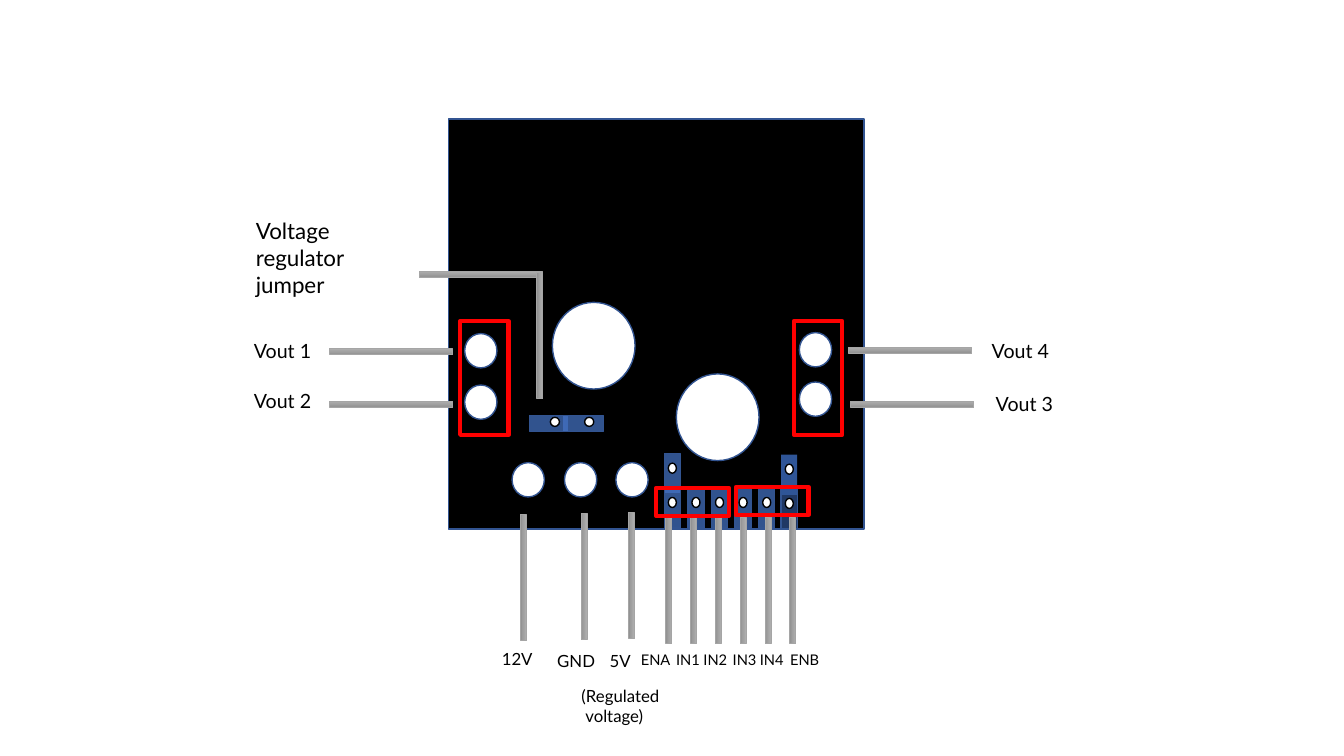
from lxml import etree
from pptx import Presentation, util as u
from pptx.dml.color import RGBColor
from pptx.enum import shapes, text
from pptx.oxml.ns import qn

INK = {"board": "000000", "hole": "FFFFFF", "edge": "325491", "pin": "4472C4",
       "enb": "203864", "cap": "2F5597", "light": "AFAFAF", "dark": "939393",
       "lead": "A5A5A5", "frame": "FF0000", "text": "000000"}
RECT, OVAL = shapes.MSO_SHAPE.RECTANGLE, shapes.MSO_SHAPE.OVAL
CELL = u.Inches(0.1)  # the slide is a grid of 133.33 columns by 75 rows

deck = Presentation()
deck.slide_width, deck.slide_height = round(133.33 * CELL), 75 * CELL
slide = deck.slides.add_slide(deck.slide_layouts[6])


def draw(kind, col, row, wide, high, fill=None, line=None, weight=1):
    """Add a shape placed in grid cells; no fill or line unless named."""
    item = slide.shapes.add_shape(kind, *(round(n * CELL) for n in (col, row, wide, high)))
    item.shadow.inherit = False
    if fill:
        item.fill.solid()
        item.fill.fore_color.rgb = RGBColor.from_string(INK[fill])
    else:
        item.fill.background()
    if line:
        item.line.color.rgb = RGBColor.from_string(INK[line])
        item.line.width = u.Pt(weight)
    else:
        item.line.fill.background()
    return item


def lead(x, y, size, turn=0):
    """Add a grey wire from (x, y), running right, or down when turned by 90."""
    thick = 0.6
    left, top = (x - size / 2, y + size / 2 - thick / 2) if turn else (x, y - thick / 2)
    wire = draw(RECT, left, top, size, thick, line="lead", weight=0.5)
    wire.rotation = turn
    wire.fill.gradient()
    wire.fill.gradient_angle = 270
    for stop, tone in zip(wire.fill.gradient_stops, ("light", "dark")):
        stop.color.rgb = RGBColor.from_string(INK[tone])


# Board and screw terminals
draw(RECT, 44.5, 11.8, 41.2, 40.7, "board", "edge")
for col, row in [(50.8, 45.9), (56, 45.9), (61.1, 45.9), (79.3, 37.9),
                 (79.3, 33), (46.1, 33.1), (46.1, 38.2)]:
    draw(OVAL, col, row, 3.2, 3.4, "hole", "edge")

# Header pins, enable caps and the regulator jumper
first, step = 65.9, 2.34
pins = [(first + step * i, 48.4, 1.6, 4, "pin", "edge") for i in range(5)]
pins += [(77.5, 48.5, 1.6, 4, "enb", "edge"), (77.5, 45.1, 1.6, 4, "cap", None),
         (first, 45, 1.6, 4, "pin", "edge"),
         (55.95, 41.2, 3.9, 1.6, "pin", "edge"), (52.55, 41.2, 3.9, 1.6, "pin", "edge")]
for col, row, wide, high, fill, line in pins:
    pin = draw(RECT, col, row, wide, high, fill, line)
    if fill == "pin":
        tone = pin.fill._xPr.find(qn("a:solidFill"))[0]
        etree.SubElement(tone, qn("a:alpha"), val="73000")
    if wide > high:
        draw(OVAL, col + 2.05, row + 0.2, 0.9, 0.9, "hole", "board")
    else:
        draw(OVAL, col + 0.4, row + 0.95, 0.8, 1, "hole", "board")

# Mounting holes
for col, row in [(67.1, 37.1), (54.8, 30)]:
    draw(OVAL, col, row, 8.2, 8.6, "hole", "edge")

# Wires
for x, y in [(84.2, 34.75), (84.4, 40.1), (32.7, 34.9), (32.7, 40.1), (41.6, 27.2)]:
    lead(x, y, 12.2)
drops = [(51.95, 51.05), (57.95, 50.95), (62.65, 50.85), (53.55, 27.05)]
drops += [(66.35 + 2.46 * i, 51.35) for i in range(6)]
for x, y in drops:
    lead(x, y, 12.5, 90)

# Labels: words, column, row, width, height, points
for words, col, row, wide, high, size in [
        ("Vout 1", 24.2, 33.1, 11.7, 4, 14), ("Vout 2", 24.2, 38.1, 11.7, 4, 14),
        ("Vout 4", 97.4, 33.1, 11.7, 4, 14), ("Vout 3", 97.8, 38.4, 11.7, 4, 14),
        ("12V", 48.8, 63.9, 6, 3.6, 12), ("GND", 54.3, 64.1, 6.6, 3.7, 12),
        ("5V", 59.5, 64.1, 5, 3.6, 12), ("ENA", 62.6, 64.1, 6, 3.4, 10.5),
        ("IN1", 66.1, 64.1, 6, 3.4, 10.5), ("IN2", 68.8, 64.1, 5.5, 3.4, 10.5),
        ("IN3", 71.7, 64.1, 5.5, 3.4, 10.5), ("IN4", 74.4, 64.1, 5.5, 3.1, 10.5),
        ("ENB", 77.4, 64.1, 8, 3.4, 10.5),
        ("Voltage regulator jumper", 24.4, 21.1, 15.6, 10.7, 16),
        ("(Regulated\n voltage)", 56.7, 67.5, 11.8, 5.9, 12)]:
    box = slide.shapes.add_textbox(*(round(n * CELL) for n in (col, row, wide, high)))
    frame = box.text_frame
    frame.word_wrap = True
    frame.auto_size = text.MSO_AUTO_SIZE.SHAPE_TO_FIT_TEXT
    frame.text = words
    for para in frame.paragraphs:
        para.font.name, para.font.size = "Lato", u.Pt(size)
        para.font.color.rgb = RGBColor.from_string(INK["text"])

# Red frames around the channel groups
for col, row, wide, high in [(65.1, 48.4, 7.2, 2.8), (73, 48.3, 7.2, 2.8),
                             (45.65, 31.85, 4.8, 11.3), (78.75, 31.85, 4.8, 11.3)]:
    draw(RECT, col, row, wide, high, line="frame", weight=3)

deck.save("out.pptx")
